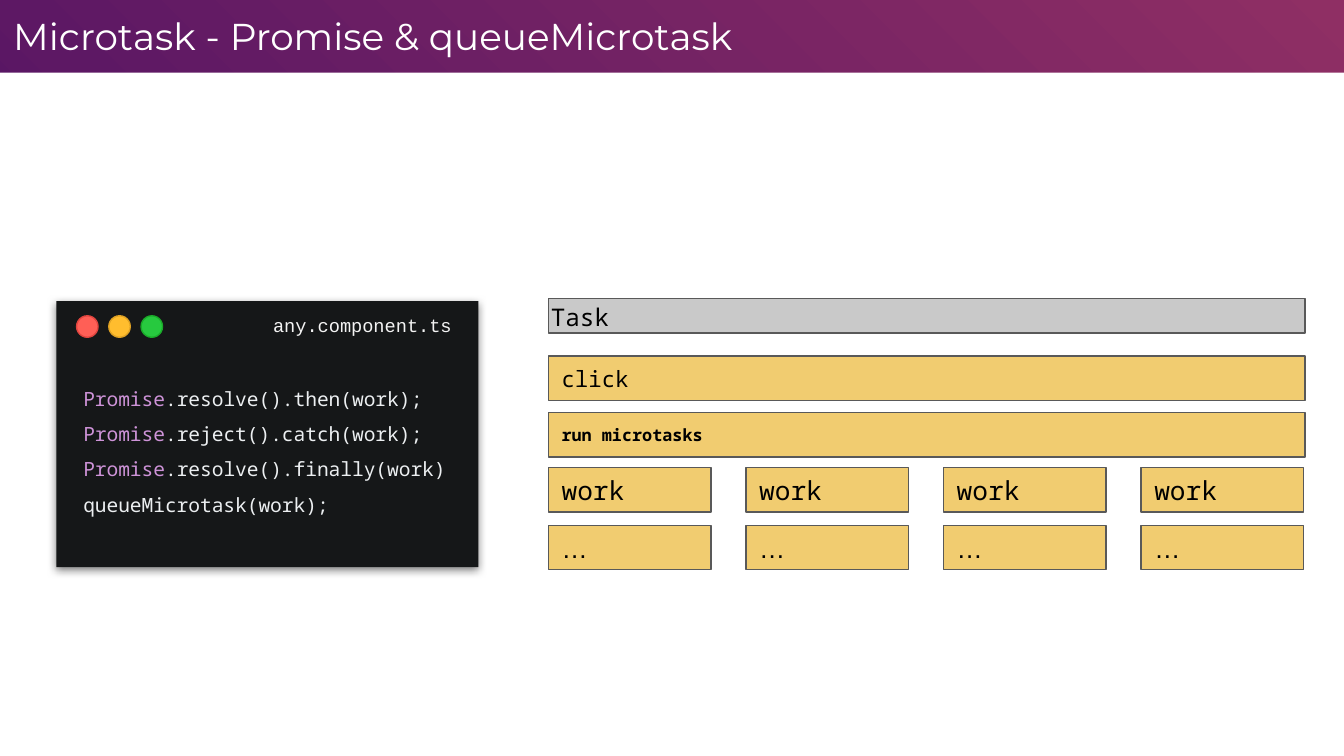
from dataclasses import dataclass

from pptx import Presentation
from pptx.dml.color import RGBColor
from pptx.enum.shapes import MSO_SHAPE
from pptx.enum.text import MSO_ANCHOR, PP_ALIGN
from pptx.oxml import parse_xml
from pptx.oxml.ns import nsdecls, qn
from pptx.util import Inches, Pt


@dataclass(frozen=True)
class Theme:
    white: str = "FFFFFF"
    black: str = "000000"
    gold: str = "EFC457"
    gray: str = "C9C9C9"
    edge: str = "595959"
    panel: str = "151718"
    code: str = "ECEFF1"
    key: str = "CE93D8"
    file: str = "F3F3F3"
    mono: str = "Noto Sans Mono"
    title_size: float = 20
    work_size: float = 14
    task_size: float = 13
    click_size: float = 12
    code_size: float = 10.5
    file_size: float = 10
    run_size: float = 9


theme = Theme()
rgb = RGBColor.from_string

deck = Presentation()
deck.slide_width = Inches(10)
deck.slide_height = deck.slide_width * 9 // 16
slide = deck.slides.add_slide(deck.slide_layouts[6])


def add_box(box, fill, line=None, kind=MSO_SHAPE.RECTANGLE, alpha=None):
    shape = slide.shapes.add_shape(kind, *map(Inches, box))
    shape.shadow.inherit = False
    shape.fill.solid()
    shape.fill.fore_color.rgb = rgb(fill)
    if alpha:
        color = shape.element.spPr.find(qn("a:solidFill"))[0]
        color.append(parse_xml(f'<a:alpha {nsdecls("a")} val="{alpha * 1000}"/>'))
    if line:
        shape.line.color.rgb = rgb(line)
        shape.line.width = Pt(0.75)
    else:
        shape.line.fill.background()
    return shape


def set_text(shape, lines, size, color, font=theme.mono, bold=False,
             inset=(0.1, 0.1, 0.1, 0.1), anchor=MSO_ANCHOR.MIDDLE,
             align=PP_ALIGN.LEFT, space=None):
    """Fill a shape with lines; each line is a list of (text, run colour or None)."""
    frame = shape.text_frame
    frame.word_wrap = True
    frame.vertical_anchor = anchor
    (frame.margin_left, frame.margin_top,
     frame.margin_right, frame.margin_bottom) = map(Inches, inset)
    for i, parts in enumerate(lines):
        para = frame.add_paragraph() if i else frame.paragraphs[0]
        para.alignment, para.line_spacing = align, space
        para.font.size, para.font.name, para.font.bold = Pt(size), font, bold
        para.font.color.rgb = rgb(color)
        for text, tint in parts:
            run = para.add_run()
            run.text = text
            if tint:
                run.font.color.rgb = rgb(tint)


# Gradient background, seen as the header band above the white body
slide.background.fill.solid()
back = slide.element.find(".//" + qn("p:bgPr"))
stops = "".join(
    f'<a:gs pos="{pos * 1000}"><a:srgbClr val="{color}"/></a:gs>'
    for pos, color in [(0, "F35C65"), (0, "8F2F64"), (64, "5D1864"), (100, "2B0163")])
back.replace(back[0], parse_xml(
    f'<a:gradFill {nsdecls("a")}><a:gsLst>{stops}</a:gsLst><a:path path="circle">'
    '<a:fillToRect l="100000" t="0" r="0" b="100000"/></a:path></a:gradFill>'))
add_box((0, 0.54, 10, 5.09), theme.white)
title = slide.shapes.add_textbox(0, 0, Inches(9.01), Inches(0.54))
set_text(title, [[("Microtask - Promise & queueMicrotask", None)]], theme.title_size,
         theme.white, "Montserrat", anchor=MSO_ANCHOR.TOP)

# Task timeline
left, wide, high = 4.08, 5.63, 0.33
task = add_box((left, 2.22, wide, 0.26), theme.gray, theme.edge)
set_text(task, [[("Task", None)]], theme.task_size, theme.black, inset=(0.02, 0.02, 0, 0))

bars = [(left, 2.65, wide, "click", theme.click_size, theme.mono, False),
        (left, 3.07, wide, "run microtasks", theme.run_size, theme.mono, True)]
for col in range(4):
    x = left + 1.47 * col
    bars += [(x, 3.48, 1.21, "work", theme.work_size, theme.mono, False),
             (x, 3.91, 1.21, "…", theme.work_size, "Arial", False)]
for x, y, width, text, size, font, bold in bars:
    bar = add_box((x, y, width, high), theme.gold, theme.edge, alpha=85)
    set_text(bar, [[(text, None)]], size, theme.black, font, bold)

# Code window
panel = add_box((0.42, 2.24, 3.14, 1.98), theme.panel)
panel.element.spPr.find(qn("a:effectLst")).append(parse_xml(
    f'<a:outerShdw {nsdecls("a")} blurRad="{Pt(4.5)}" dist="{Pt(1.5)}" dir="5400000" '
    'algn="bl" rotWithShape="0"><a:srgbClr val="000000"><a:alpha val="50000"/>'
    '</a:srgbClr></a:outerShdw>'))

calls = [".resolve().then(work);", ".reject().catch(work);", ".resolve().finally(work)"]
lines = [[("Promise", theme.key), (call, None)] for call in calls]
lines.append([("queueMicrotask(work);", None)])
code = slide.shapes.add_textbox(*map(Inches, (0.42, 2.52, 3.14, 1.69)))
set_text(code, lines, theme.code_size, theme.code, inset=(0.2, 0.1, 0.2, 0.2), space=1.5)

lights = [("FF5F56", "E0443E"), ("FFBD2E", "DEA123"), ("27C93F", "1AAB29")]
for i, (fill, line) in enumerate(lights):
    add_box((0.57 + 0.24 * i, 2.35, 0.16, 0.16), fill, line, MSO_SHAPE.OVAL)

name = slide.shapes.add_textbox(*map(Inches, (1.02, 2.22, 2.54, 0.39)))
set_text(name, [[("any.component.ts", None)]], theme.file_size, theme.file, "Courier New",
         inset=(0.1, 0.1, 0.2, 0.1), align=PP_ALIGN.RIGHT)

deck.save("out.pptx")
